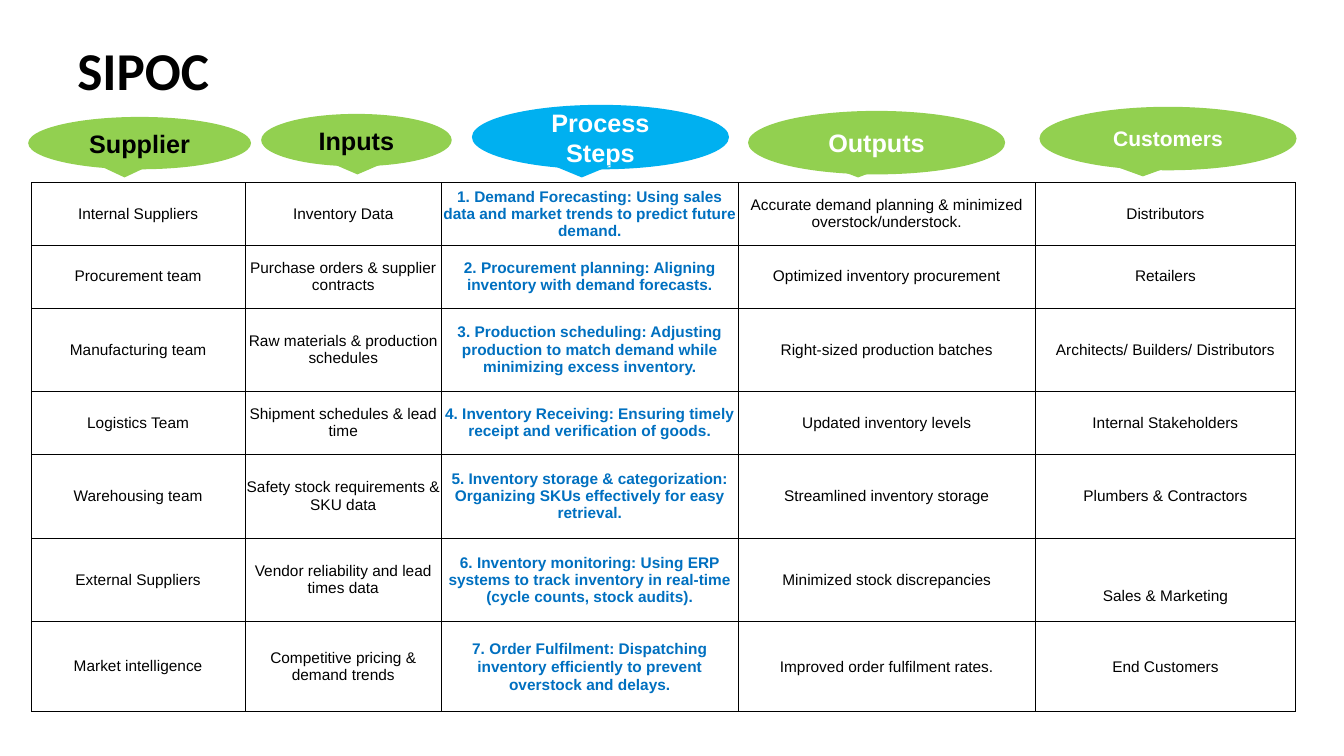
"""Build a SIPOC slide: five column callouts above a process table."""
from lxml import etree
from pptx import Presentation, util as u
from pptx.dml.color import RGBColor
from pptx.enum import shapes, text
from pptx.oxml.ns import qn

BLACK, WHITE, GREEN, CYAN, BLUE = "000000", "FFFFFF", "92D050", "00B0F0", "0070C0"

CALLOUTS = [
    ("Supplier", GREEN, BLACK, 18, (2.1, 15.47, 16.58, 6.93), (7.35, 21.87, 3.83, 1.6)),
    ("Inputs", GREEN, BLACK, 18, (19.43, 15.07, 14.18, 6.93), (24.68, 21.6, 3.83, 1.47)),
    ("Process Steps", CYAN, WHITE, 18, (35.11, 13.87, 19.13, 8.53), (41.11, 21.87, 4.35, 1.6)),
    ("Outputs", GREEN, WHITE, 18, (55.66, 14.67, 19.13, 8.4), (61.67, 22, 4.35, 1.47)),
    ("Customers", GREEN, WHITE, 15, (77.34, 14.13, 19.13, 8.4), (82.97, 22, 4.13, 1.33)),
]
COLS = [15.9, 14.63, 22.06, 22.13, 19.35]
ROWS = [8.3, 8.3, 11.07, 8.3, 11.07, 11.07, 11.9]
STEP_COL = 2
CELLS = [
    ["Internal Suppliers", "Inventory Data",
     "1. Demand Forecasting: Using sales data and market trends to predict future demand.",
     "Accurate demand planning & minimized overstock/understock.", "Distributors"],
    ["Procurement team", "Purchase orders & supplier contracts",
     "2. Procurement planning: Aligning inventory with demand forecasts.",
     "Optimized inventory procurement", "Retailers"],
    ["Manufacturing team", "Raw materials & production schedules",
     "3. Production scheduling: Adjusting production to match demand while "
     "minimizing excess inventory.",
     "Right-sized production batches", "Architects/ Builders/ Distributors"],
    ["Logistics Team", "Shipment schedules & lead time",
     "4. Inventory Receiving: Ensuring timely receipt and verification of goods.",
     "Updated inventory levels", "Internal Stakeholders"],
    ["Warehousing team", "Safety stock requirements & SKU data",
     "5. Inventory storage & categorization: Organizing SKUs effectively for easy retrieval.",
     "Streamlined inventory storage", "Plumbers & Contractors"],
    ["External Suppliers", "Vendor reliability and lead times data",
     "6. Inventory monitoring: Using ERP systems to track inventory in real-time "
     "(cycle counts, stock audits).",
     "Minimized stock discrepancies", "Sales & Marketing"],
    ["Market intelligence", "Competitive pricing & demand trends",
     "7. Order Fulfilment: Dispatching inventory efficiently to prevent overstock and delays.",
     "Improved order fulfilment rates.", "End Customers"],
]


def rgb(value):
    """Turn a hex string into a colour."""
    return RGBColor.from_string(value)


def write(tf, words, size, color=BLACK, bold=False, font="Arial",
          align=text.PP_ALIGN.CENTER, spacing=1.0):
    """Fill a text frame with one formatted paragraph."""
    tf.word_wrap = True
    p = tf.paragraphs[0]
    p.alignment, p.line_spacing = align, spacing
    r = p.add_run()
    r.text = words
    f = r.font
    f.name, f.size, f.bold = font, u.Pt(size), bold
    f.color.rgb = rgb(color)


def pad(box, inches):
    """Give a cell or text frame equal margins."""
    box.margin_left = box.margin_right = u.Inches(inches)
    box.margin_top = box.margin_bottom = u.Inches(inches)


def border(cell, side, width):
    """Draw one black border of a table cell."""
    ln = etree.SubElement(cell._tc.get_or_add_tcPr(), qn("a:" + side), w=str(u.Pt(width)))
    fill = etree.SubElement(ln, qn("a:solidFill"))
    etree.SubElement(fill, qn("a:srgbClr"), val=BLACK)


class Deck:
    """Holds the presentation and the current slide, measured in percent."""

    def __init__(self):
        """Open a wide presentation with one title-only slide."""
        self.prs = Presentation()
        self.prs.slide_width, self.prs.slide_height = u.Inches(13.33), u.Inches(7.5)
        self.s = self.prs.slides.add_slide(self.prs.slide_layouts[5])

    def x(self, share):
        """Return a percentage of the slide width."""
        return round(self.prs.slide_width * share / 100)

    def y(self, share):
        """Return a percentage of the slide height."""
        return round(self.prs.slide_height * share / 100)

    def box(self, left, top, width, height):
        """Return a rectangle in slide units."""
        return self.x(left), self.y(top), self.x(width), self.y(height)

    def title(self, words, area):
        """Place and format the slide title."""
        sp = self.s.shapes.title
        sp.left, sp.top, sp.width, sp.height = self.box(*area)
        tf = sp.text_frame
        tf.auto_size = text.MSO_AUTO_SIZE.NONE
        tf.vertical_anchor = text.MSO_ANCHOR.MIDDLE
        write(tf, words, 38, bold=True, font="Calibri", align=text.PP_ALIGN.LEFT)

    def shape(self, group, kind, area, fill):
        """Add a flat filled shape to a group."""
        sp = group.shapes.add_shape(kind, *self.box(*area))
        sp.shadow.inherit = False
        sp.fill.solid()
        sp.fill.fore_color.rgb = rgb(fill)
        sp.line.fill.background()
        return sp

    def callout(self, words, fill, color, size, oval, tip):
        """Add a labelled ellipse with a tip pointing down."""
        group = self.s.shapes.add_group_shape()
        sp = self.shape(group, shapes.MSO_SHAPE.OVAL, oval, fill)
        tf = sp.text_frame
        pad(tf, 0.2)
        tf.vertical_anchor = text.MSO_ANCHOR.MIDDLE
        write(tf, words, size, color, bold=True)
        self.shape(group, shapes.MSO_SHAPE.ISOSCELES_TRIANGLE, tip, fill).rotation = 180

    def table(self, left, top, cols, rows, cells):
        """Add the bordered table with a highlighted step column."""
        area = self.box(left, top, sum(cols), sum(rows))
        tbl = self.s.shapes.add_table(len(rows), len(cols), *area).table
        tbl.first_row = tbl.horz_banding = False
        for col, share in zip(tbl.columns, cols):
            col.width = self.x(share)
        for row, share in zip(tbl.rows, rows):
            row.height = self.y(share)
        for i, line in enumerate(cells):
            for j, words in enumerate(line):
                self.cell(tbl.cell(i, j), words, j == STEP_COL,
                          1.07 if i == len(rows) - 1 and j >= STEP_COL else 1.0)
        sales = tbl.cell(5, 4)
        sales.vertical_anchor = text.MSO_ANCHOR.BOTTOM
        sales.margin_bottom = u.Inches(0.17)

    def cell(self, cell, words, step, spacing):
        """Format one table cell."""
        pad(cell, 0)
        cell.vertical_anchor = text.MSO_ANCHOR.MIDDLE
        for side in ("lnL", "lnR", "lnT", "lnB"):
            border(cell, side, 0.5)
        cell.fill.solid()
        cell.fill.fore_color.rgb = rgb(WHITE)
        write(cell.text_frame, words, 11, BLUE if step else BLACK, bold=step, spacing=spacing)


def main():
    """Build and save the slide."""
    deck = Deck()
    deck.title("SIPOC", (5, 4, 90, 10.4))
    deck.table(2.33, 24.13, COLS, ROWS, CELLS)
    for callout in CALLOUTS:
        deck.callout(*callout)
    deck.prs.save("out.pptx")


if __name__ == "__main__":
    main()
